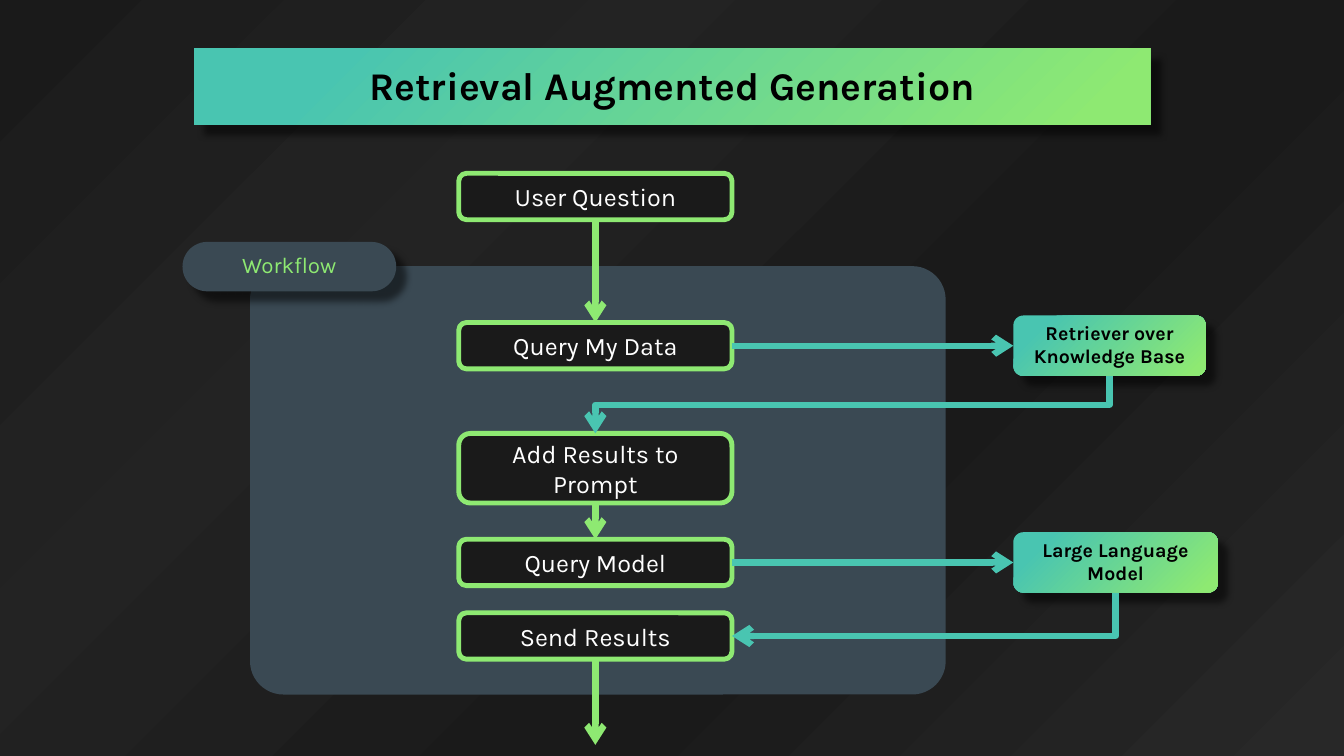
from lxml.etree import SubElement
from pptx import Presentation
from pptx.dml.color import RGBColor
from pptx.enum.shapes import MSO_CONNECTOR, MSO_SHAPE
from pptx.enum.text import MSO_ANCHOR, MSO_AUTO_SIZE, PP_ALIGN
from pptx.oxml import parse_xml
from pptx.oxml.ns import nsdecls, qn
from pptx.util import Inches, Pt

COLORS = {
    "panel": "3A4953",
    "dark": "1A1A1A",
    "green": "8EE972",
    "teal": "49C5B1",
    "white": "FFFFFF",
    "black": "000000",
}
FONT = "Karla"
TOP, LEFT, BOTTOM, RIGHT = range(4)

BACKGROUND_STOPS = [(0, "1A1A1A"), (27, "222222"), (28, "232323"), (63, "1A1A1A"), (100, "282828")]
BACKGROUND_SHADE = '<a:lin ang="2700000" scaled="0"/>'
ACCENT_STOPS = [(6, COLORS["green"]), (85, COLORS["teal"])]
ACCENT_SHADE = '<a:path path="circle"><a:fillToRect l="100000" t="100000"/></a:path>'

STEP_LEFT, STEP_WIDTH = 4.55, 2.71
STEPS = [  # text, top, height
    ("User Question", 1.72, 0.46),
    ("Query My Data", 3.2, 0.46),
    ("Add Results to Prompt", 4.3, 0.69),
    ("Query Model", 5.35, 0.46),
    ("Send Results", 6.08, 0.46),
]


def rgb(name):
    return RGBColor.from_string(COLORS[name])


def set_gradient(fill, parent, stops, shade):
    """Give the fill held by the parent element a gradient."""
    fill.solid()
    stop_xml = "".join(
        f'<a:gs pos="{position * 1000}"><a:srgbClr val="{color}"/></a:gs>'
        for position, color in stops
    )
    gradient = parse_xml(
        f'<a:gradFill {nsdecls("a")} rotWithShape="1"><a:gsLst>{stop_xml}</a:gsLst>{shade}</a:gradFill>'
    )
    parent.replace(parent.find(qn("a:solidFill")), gradient)


def add_shadow(shape):
    shape.shadow.inherit = False
    effects = shape.element.spPr.find(qn("a:effectLst"))
    effects.append(parse_xml(
        f'<a:outerShdw {nsdecls("a")} blurRad="{Pt(5)}" dist="{Pt(10)}" dir="2700000" algn="tl"'
        f' rotWithShape="0"><a:srgbClr val="{COLORS["black"]}"><a:alpha val="50000"/></a:srgbClr></a:outerShdw>'
    ))


def set_accent_style(shape):
    set_gradient(shape.fill, shape.element.spPr, ACCENT_STOPS, ACCENT_SHADE)
    add_shadow(shape)


def set_text(shape, text, size, color, bold=False, margins=(0.1, 0.05, 0.1, 0.05)):
    frame = shape.text_frame
    frame.word_wrap = True
    frame.auto_size = MSO_AUTO_SIZE.NONE
    frame.vertical_anchor = MSO_ANCHOR.MIDDLE
    (frame.margin_left, frame.margin_top,
     frame.margin_right, frame.margin_bottom) = map(Inches, margins)
    frame.text = text
    paragraph = frame.paragraphs[0]
    paragraph.alignment = PP_ALIGN.CENTER
    paragraph.font.name = FONT
    paragraph.font.size = Pt(size)
    paragraph.font.bold = bold
    paragraph.font.color.rgb = rgb(color)
    return paragraph


def add_box(slide, left, top, width, height, fill, corner=0.1667):
    shape = slide.shapes.add_shape(
        MSO_SHAPE.ROUNDED_RECTANGLE, Inches(left), Inches(top), Inches(width), Inches(height)
    )
    shape.adjustments[0] = corner
    shape.shadow.inherit = False
    shape.fill.solid()
    shape.fill.fore_color.rgb = rgb(fill)
    shape.line.fill.background()
    return shape


def add_step(slide, text, top, height):
    shape = add_box(slide, STEP_LEFT, top, STEP_WIDTH, height, "dark")
    shape.line.color.rgb = rgb("green")
    shape.line.width = Pt(3.5)
    set_text(shape, text, 18, "white")
    return shape


def add_service(slide, text, top, width):
    shape = add_box(slide, 10.05, top, width, 0.6, "teal")
    set_accent_style(shape)
    set_text(shape, text, 14, "black", bold=True, margins=(0, 0.02, 0, 0.05))
    return shape


def add_arrow(slide, color, begin, begin_side, end=None, end_side=TOP, kind=MSO_CONNECTOR.STRAIGHT):
    """Join two boxes; without an end box the arrow runs down off the workflow."""
    middle = begin.left + begin.width // 2
    connector = slide.shapes.add_connector(kind, middle, begin.top, middle, Inches(7.39))
    connector.begin_connect(begin, begin_side)
    if end is not None:
        connector.end_connect(end, end_side)
    connector.line.color.rgb = rgb(color)
    connector.line.width = Pt(4.5)
    SubElement(connector.line._get_or_add_ln(), qn("a:tailEnd"), type="arrow")
    SubElement(connector.element.spPr, qn("a:effectLst"))
    return connector


def add_return_arrow(slide, begin, end, end_side, preset):
    """Leave the bottom of a service downwards, then turn left to a step."""
    connector = add_arrow(slide, "teal", begin, BOTTOM, end, end_side, MSO_CONNECTOR.ELBOW)
    across = connector.begin_x - connector.end_x
    down = connector.end_y - connector.begin_y
    center_x = (connector.begin_x + connector.end_x) // 2
    center_y = (connector.begin_y + connector.end_y) // 2
    # A quarter turn swaps the width and height of the frame
    connector.left, connector.top = center_x - down // 2, center_y - across // 2
    connector.width, connector.height = down, across
    properties = connector.element.spPr
    transform = properties.find(qn("a:xfrm"))
    transform.attrib.pop("flipH", None)
    transform.set("rot", "5400000")
    properties.find(qn("a:prstGeom")).set("prst", preset)


def add_title(slide):
    title = slide.shapes.title
    title.left, title.top, title.width, title.height = map(Inches, (1.92, 0.48, 9.49, 0.76))
    set_accent_style(title)
    set_text(title, "Retrieval Augmented Generation", 28, "black", bold=True, margins=(0, 0.02, 0, 0.05))


def main():
    presentation = Presentation()
    presentation.slide_width = Inches(13.33)
    presentation.slide_height = Inches(7.5)
    slide = presentation.slides.add_slide(presentation.slide_layouts[5])

    # Background and title
    background = slide.background.fill
    background.solid()
    set_gradient(background, slide.element.find(".//" + qn("p:bgPr")), BACKGROUND_STOPS, BACKGROUND_SHADE)
    add_title(slide)

    # Workflow panel, steps and services
    add_box(slide, 2.48, 2.64, 6.9, 4.25, "panel", corner=0.078)
    question, query_data, add_results, query_model, send_results = [
        add_step(slide, *step) for step in STEPS
    ]
    retriever = add_service(slide, "Retriever over Knowledge Base", 3.13, 1.91)
    language_model = add_service(slide, "Large Language Model", 5.28, 2.03)

    # Arrows down the workflow
    add_arrow(slide, "green", question, BOTTOM, query_data)
    add_arrow(slide, "green", add_results, BOTTOM, query_model)
    add_arrow(slide, "green", send_results, BOTTOM)

    # Arrows to the services and back
    add_arrow(slide, "teal", query_data, RIGHT, retriever, LEFT)
    add_arrow(slide, "teal", query_model, RIGHT, language_model, LEFT)
    add_return_arrow(slide, retriever, add_results, TOP, "bentConnector3")
    add_return_arrow(slide, language_model, send_results, RIGHT, "bentConnector2")

    # Workflow label
    label = add_box(slide, 1.81, 2.4, 2.12, 0.49, "panel", corner=0.5)
    add_shadow(label)
    paragraph = set_text(label, "Workflow", 16, "green", margins=(0.12, 0, 0.12, 0))
    paragraph.line_spacing = 0.9

    presentation.save("out.pptx")


if __name__ == "__main__":
    main()
